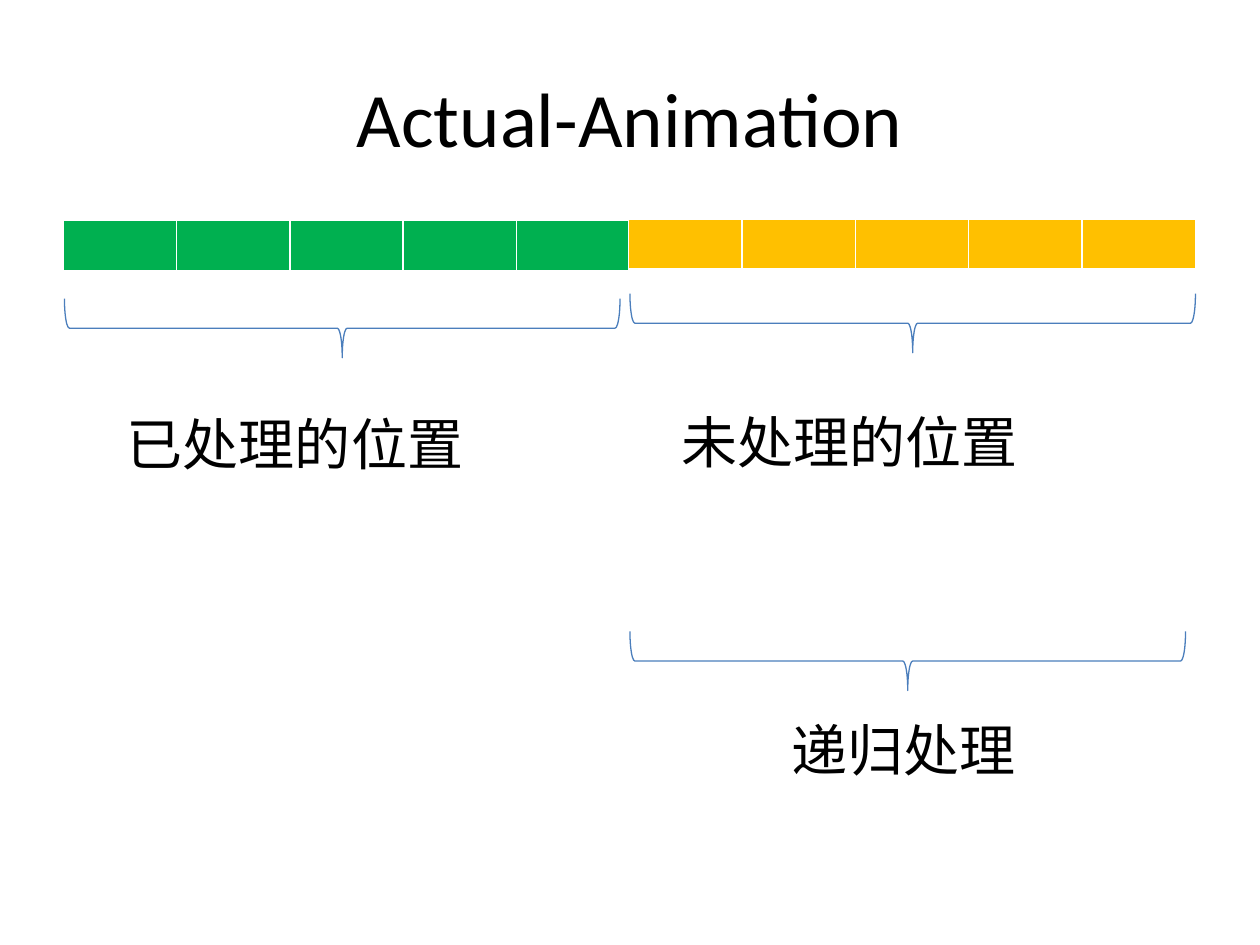
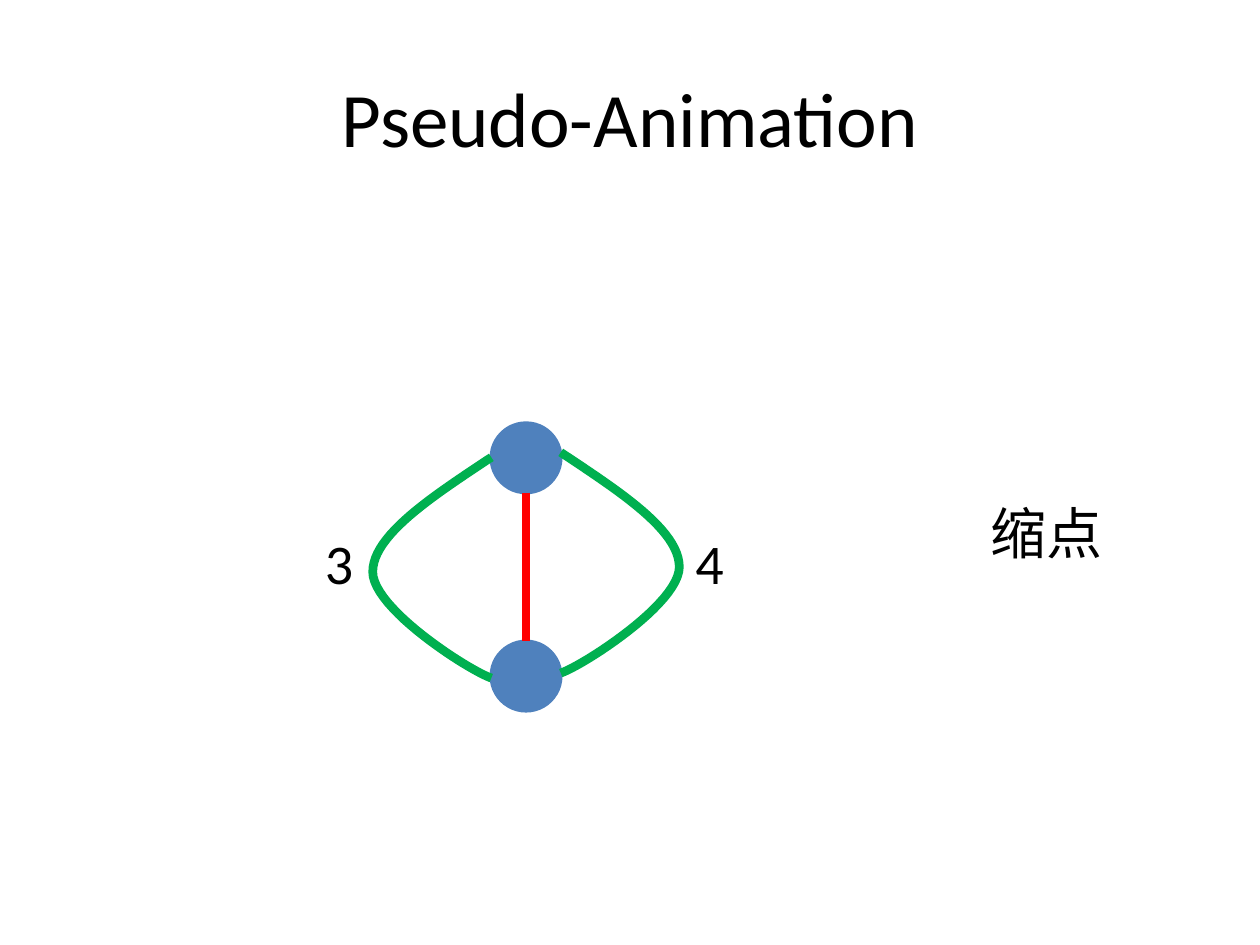
from lxml.etree import SubElement
from pptx import Presentation
from pptx.dml.color import RGBColor
from pptx.enum.shapes import MSO_CONNECTOR as Connector, MSO_SHAPE as Shape
from pptx.enum.text import MSO_ANCHOR as Anchor, MSO_AUTO_SIZE as AutoSize, PP_ALIGN as Align
from pptx.oxml.ns import qn
from pptx.util import Cm, Pt

FONT = "Calibri"
BLACK, WHITE = "000000", "FFFFFF"
GREEN, AMBER, RED = "00B050", "FFC000", "FF0000"
NODE_BLUE, BRACE_BLUE = "4F81BD", "4B7EBC"
TITLE_ONLY = 5
CELL_WIDTH, CELL_HEIGHT = 2.286, 1.03
LABEL_HEIGHT = 1.63
BRACE_DEPTH = 1.19
NODE_SIZE = 1.4
# Two cubic curves as (outward, down) offsets in cm from the start of the arc
ARC = [
    [(0, 0), (1.19, 0.79), (2.39, 1.57), (2.39, 2.31)],
    [(2.39, 2.31), (2.39, 3.05), (0.46, 4.29), (0, 4.45)],
]
ARC_STEPS = 24


def rgb(hex_colour):
    """Turn a hex string into a colour."""
    return RGBColor.from_string(hex_colour)


def set_line(line, colour, points):
    """Give an outline its colour and width."""
    line.color.rgb = rgb(colour)
    line.width = Pt(points)


def style_text(frame, size):
    """Format every run of a text frame."""
    for paragraph in frame.paragraphs:
        for run in paragraph.runs:
            run.font.size = Pt(size)
            run.font.name = FONT
            run.font.color.rgb = rgb(BLACK)


def add_titled_slide(deck, heading):
    """Add a title-only slide with the shared heading style."""
    slide = deck.slides.add_slide(deck.slide_layouts[TITLE_ONLY])
    title = slide.shapes.title
    title.left, title.top, title.width, title.height = Cm(1.27), Cm(0.76), Cm(22.86), Cm(3.18)
    frame = title.text_frame
    frame.text = heading
    frame.vertical_anchor = Anchor.MIDDLE
    frame.paragraphs[0].alignment = Align.CENTER
    style_text(frame, 44)
    return slide


def add_label(slide, text, left, top, width, wrap=True):
    """Add a 32 pt caption."""
    label = slide.shapes.add_textbox(Cm(left), Cm(top), Cm(width), Cm(LABEL_HEIGHT))
    frame = label.text_frame
    frame.text = text
    frame.word_wrap = wrap
    frame.auto_size = AutoSize.SHAPE_TO_FIT_TEXT
    style_text(frame, 32)


def add_borders(cell):
    """Draw white cell borders, the bottom one thicker."""
    properties = cell._tc.get_or_add_tcPr()
    for side, points in (("L", 1), ("R", 1), ("T", 1), ("B", 3)):
        border = SubElement(properties, qn(f"a:ln{side}"), w=str(Pt(points)))
        SubElement(SubElement(border, qn("a:solidFill")), qn("a:srgbClr"), val=WHITE)


def add_positions(slide, left, top, colours):
    """Add a one-row table with one cell for each colour."""
    count = len(colours)
    table = slide.shapes.add_table(
        1, count, Cm(left), Cm(top), Cm(CELL_WIDTH * count), Cm(CELL_HEIGHT)).table
    for column, colour in enumerate(colours):
        table.columns[column].width = Cm(CELL_WIDTH)
        cell = table.cell(0, column)
        add_borders(cell)
        cell.fill.solid()
        cell.fill.fore_color.rgb = rgb(colour)


def add_brace(slide, left, top, span):
    """Add a brace that spans a width and points down."""
    shift = (span - BRACE_DEPTH) / 2
    brace = slide.shapes.add_shape(
        Shape.LEFT_BRACE, Cm(left + shift), Cm(top - shift), Cm(BRACE_DEPTH), Cm(span))
    brace.rotation = 270
    brace.shadow.inherit = False
    brace.fill.background()
    set_line(brace.line, BRACE_BLUE, 0.75)


def add_node(slide, left, top):
    """Add a round graph node."""
    node = slide.shapes.add_shape(Shape.OVAL, Cm(left), Cm(top), Cm(NODE_SIZE), Cm(NODE_SIZE))
    node.shadow.inherit = False
    node.fill.solid()
    node.fill.fore_color.rgb = rgb(NODE_BLUE)
    set_line(node.line, NODE_BLUE, 2)


def cubic(controls, t):
    """Return the point of a cubic curve at t."""
    weights = ((1 - t) ** 3, 3 * t * (1 - t) ** 2, 3 * t ** 2 * (1 - t), t ** 3)
    return [sum(w * point[axis] for w, point in zip(weights, controls)) for axis in (0, 1)]


def add_arc(slide, x, y, direction):
    """Add a curved edge that bulges left (-1) or right (1)."""
    offsets = [cubic(curve, step / ARC_STEPS)
               for curve in ARC for step in range(1, ARC_STEPS + 1)]
    builder = slide.shapes.build_freeform(Cm(x), Cm(y))
    builder.add_line_segments(
        [(Cm(x + direction * out), Cm(y + down)) for out, down in offsets], close=False)
    arc = builder.convert_to_shape()
    arc.shadow.inherit = False
    arc.fill.background()
    set_line(arc.line, GREEN, 5)


def add_straight_edge(slide, x, top, bottom):
    """Add the red edge between the two nodes."""
    edge = slide.shapes.add_connector(Connector.STRAIGHT, Cm(x), Cm(top), Cm(x), Cm(bottom))
    set_line(edge.line, RED, 5)
    SubElement(edge._element.spPr, qn("a:effectLst"))


def add_graph(slide, left, top, width, height):
    """Add two nodes joined by a straight edge and two numbered arcs."""
    node_left = left + (width - NODE_SIZE) / 2
    lower_top = top + height - NODE_SIZE
    for node_top in (top, lower_top):
        add_node(slide, node_left, node_top)
    add_straight_edge(slide, left + width / 2, top + NODE_SIZE, lower_top)
    add_arc(slide, node_left, top + 0.69, -1)
    add_arc(slide, node_left + NODE_SIZE, top + 0.59, 1)
    for number, label_left in (("3", left - 1.22), ("4", left + width + 0.08)):
        add_label(slide, number, label_left, top + 1.99, 1.19)


def build_recursion_slide(deck):
    """Show the processed and the remaining positions."""
    slide = add_titled_slide(deck, "Actual-Animation")
    add_positions(slide, 1.27, 4.45, [GREEN] * 5 + [AMBER] * 5)
    add_brace(slide, 1.3, 6.02, 11.2)
    add_label(slide, "已处理的位置", 2.31, 8.13, 7.8)
    add_brace(slide, 12.7, 5.92, 11.4)
    add_label(slide, "未处理的位置", 13.49, 8.1, 7.8)
    add_positions(slide, 12.67, 4.42, [AMBER] * 5)
    add_brace(slide, 12.7, 12.73, 11.2)
    add_label(slide, "递归处理", 15.7, 14.3, 5.79)


def build_contraction_slide(deck):
    """Show the graph whose nodes are contracted."""
    slide = add_titled_slide(deck, "Pseudo-Animation")
    add_graph(slide, 7.52, 8.53, 6.17, 5.8)
    add_label(slide, "缩点", 19.71, 9.93, 2.79, wrap=False)


presentation = Presentation()
presentation.slide_width, presentation.slide_height = Cm(25.4), Cm(19.05)
build_recursion_slide(presentation)
build_contraction_slide(presentation)
presentation.save("out.pptx")
